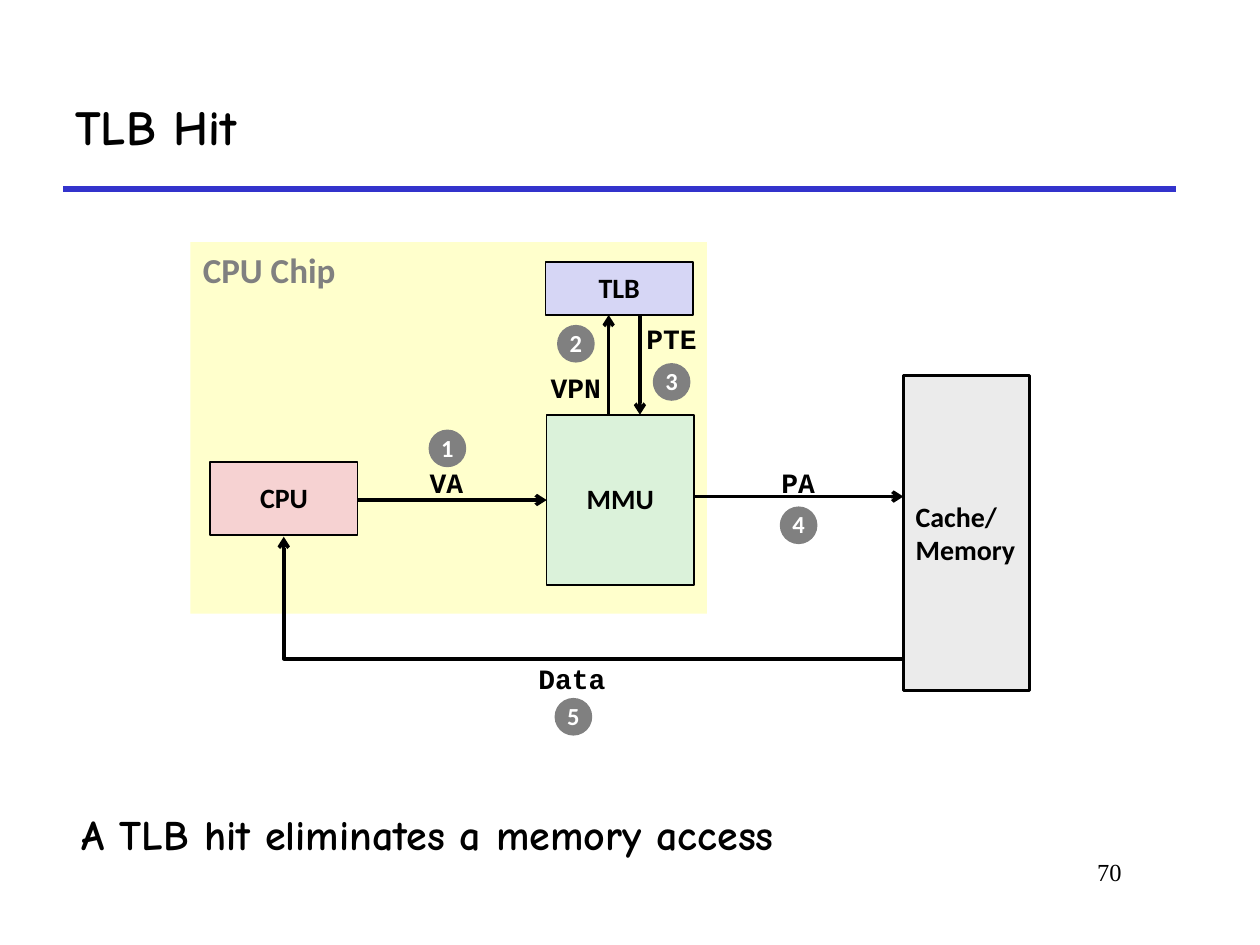
import lxml.etree
import pptx
import pptx.dml.color
import pptx.enum.shapes
import pptx.enum.text
import pptx.oxml.ns
import pptx.util

Cm = pptx.util.Cm
SHAPE = pptx.enum.shapes.MSO_SHAPE
CONNECTOR = pptx.enum.shapes.MSO_CONNECTOR
ALIGN = pptx.enum.text.PP_ALIGN
ANCHOR = pptx.enum.text.MSO_ANCHOR

COLOURS = {
    "ink": "000000", "white": "FFFFFF", "rule": "3333CC", "grey": "808080",
    "chip": "FFFFCC", "mmu": "DBF2DA", "memory": "EBEBEB",
    "cpu": "F6D2D2", "tlb": "D6D6F5",
}
TITLE = "TLB Hit"
TAKEAWAY = "A TLB hit eliminates a memory access"
PAGE = "70"
CHIP = ("CPU Chip", (3.84, 4.88, 10.41, 7.49))
MEMORY = ("Cache/\nMemory", (18.21, 7.57, 2.54, 6.35))
UNITS = [
    ("MMU", "mmu", (11.02, 8.36, 2.97, 3.43)),
    ("CPU", "cpu", (4.24, 9.32, 2.97, 1.47)),
    ("TLB", "tlb", (11.0, 5.28, 2.97, 1.07)),
]
SIGNALS = [
    ("VA", (9.0, 9.74), (7.21, 10.08), (11.02, 10.08)),
    ("VPN", (11.61, 7.84), (12.27, 8.36), (12.27, 6.35)),
    ("PTE", (13.54, 6.85), (12.9, 6.35), (12.9, 8.36)),
    ("PA", (16.09, 9.74), (13.97, 10.01), (18.21, 10.01)),
    ("Data", (11.53, 13.7), (5.72, 10.82), (18.21, 13.28)),
]
STEPS = [(9.02, 9.04), (11.61, 6.93), (13.54, 7.7), (16.1, 10.59), (11.56, 14.45)]
BADGE = 0.76
LABEL_HEIGHT = 0.94
LETTER_WIDTH, LABEL_INSETS = 0.34, 0.5

deck = pptx.Presentation()
deck.slide_width, deck.slide_height = Cm(25.4), Cm(19.05)
slide = deck.slides.add_slide(deck.slide_layouts[6])


def rgb(name):
    return pptx.dml.color.RGBColor.from_string(COLOURS[name])


def centred(centre, width, height):
    return centre[0] - width / 2, centre[1] - height / 2, width, height


def write(holder, text, font="Calibri", size=16, colour="ink", bold=True,
          align=ALIGN.CENTER, anchor=ANCHOR.MIDDLE, wrap=False, spacing=0.98):
    frame = holder.text_frame
    frame.word_wrap = wrap
    frame.vertical_anchor = anchor
    for number, line in enumerate(text.split("\n")):
        paragraph = frame.add_paragraph() if number else frame.paragraphs[0]
        paragraph.alignment = align
        paragraph.line_spacing = spacing
        run = paragraph.add_run()
        run.text = line
        run.font.name, run.font.size = font, pptx.util.Pt(size)
        run.font.bold = bold
        run.font.color.rgb = rgb(colour)


def text_box(box, text, **style):
    write(slide.shapes.add_textbox(*map(Cm, box)), text, **style)


def block(kind, box, fill, border=0):
    shape = slide.shapes.add_shape(kind, *map(Cm, box))
    shape.shadow.inherit = False
    shape.fill.solid()
    shape.fill.fore_color.rgb = rgb(fill)
    if border:
        shape.line.color.rgb = rgb("ink")
        shape.line.width = pptx.util.Pt(border)
    else:
        shape.line.fill.background()
    return shape


def connect(start, end, colour="ink", width=2, arrow=True, kind=CONNECTOR.STRAIGHT):
    connector = slide.shapes.add_connector(kind, *map(Cm, start + end))
    connector.line.color.rgb = rgb(colour)
    connector.line.width = pptx.util.Pt(width)
    if arrow:
        lxml.etree.SubElement(connector.line._get_or_add_ln(),
                              pptx.oxml.ns.qn("a:tailEnd"), type="arrow")
    properties = connector._element.spPr
    lxml.etree.SubElement(properties, pptx.oxml.ns.qn("a:effectLst"))
    if kind == CONNECTOR.ELBOW:
        properties.find(pptx.oxml.ns.qn("a:prstGeom")).set("prst", "bentConnector2")
        properties.find(pptx.oxml.ns.qn("a:xfrm")).set("rot", "10800000")


connect((1.27, 3.81), (23.7, 3.81), colour="rule", width=3, arrow=False)
text_box((1.27, 1.27, 22.43, 2.54), TITLE, font="Comic Neue", size=28,
         align=ALIGN.LEFT, wrap=True, spacing=1)

chip_name, chip_box = CHIP
block(SHAPE.RECTANGLE, chip_box, "chip")
text_box((*chip_box[:2], 3.2, 1.12), chip_name, size=20, colour="grey",
         align=ALIGN.LEFT, anchor=ANCHOR.TOP, spacing=1)
memory_name, memory_box = MEMORY
write(block(SHAPE.RECTANGLE, memory_box, "memory", 1.5), memory_name,
      align=ALIGN.LEFT, spacing=1)
for unit, fill, box in UNITS:
    write(block(SHAPE.RECTANGLE, box, fill, 1), unit)

for signal, centre, start, end in SIGNALS:
    straight = start[0] == end[0] or start[1] == end[1]
    connect(start, end, kind=CONNECTOR.STRAIGHT if straight else CONNECTOR.ELBOW)
    width = LETTER_WIDTH * len(signal) + LABEL_INSETS
    text_box(centred(centre, width, LABEL_HEIGHT), signal, font="Courier New")

for step, centre in enumerate(STEPS, 1):
    badge = block(SHAPE.OVAL, centred(centre, BADGE, BADGE), "grey")
    write(badge, str(step), size=14, colour="white")

text_box((1.4, 16.18, 19.96, 1.6), TAKEAWAY, font="Comic Neue", size=24,
         align=ALIGN.LEFT, anchor=ANCHOR.TOP, wrap=True, spacing=1)
text_box((19.25, 17.15, 3.61, 1.27), PAGE, font="Times New Roman", size=14,
         bold=False, align=ALIGN.RIGHT, anchor=ANCHOR.TOP, wrap=True, spacing=1)

deck.save("out.pptx")
